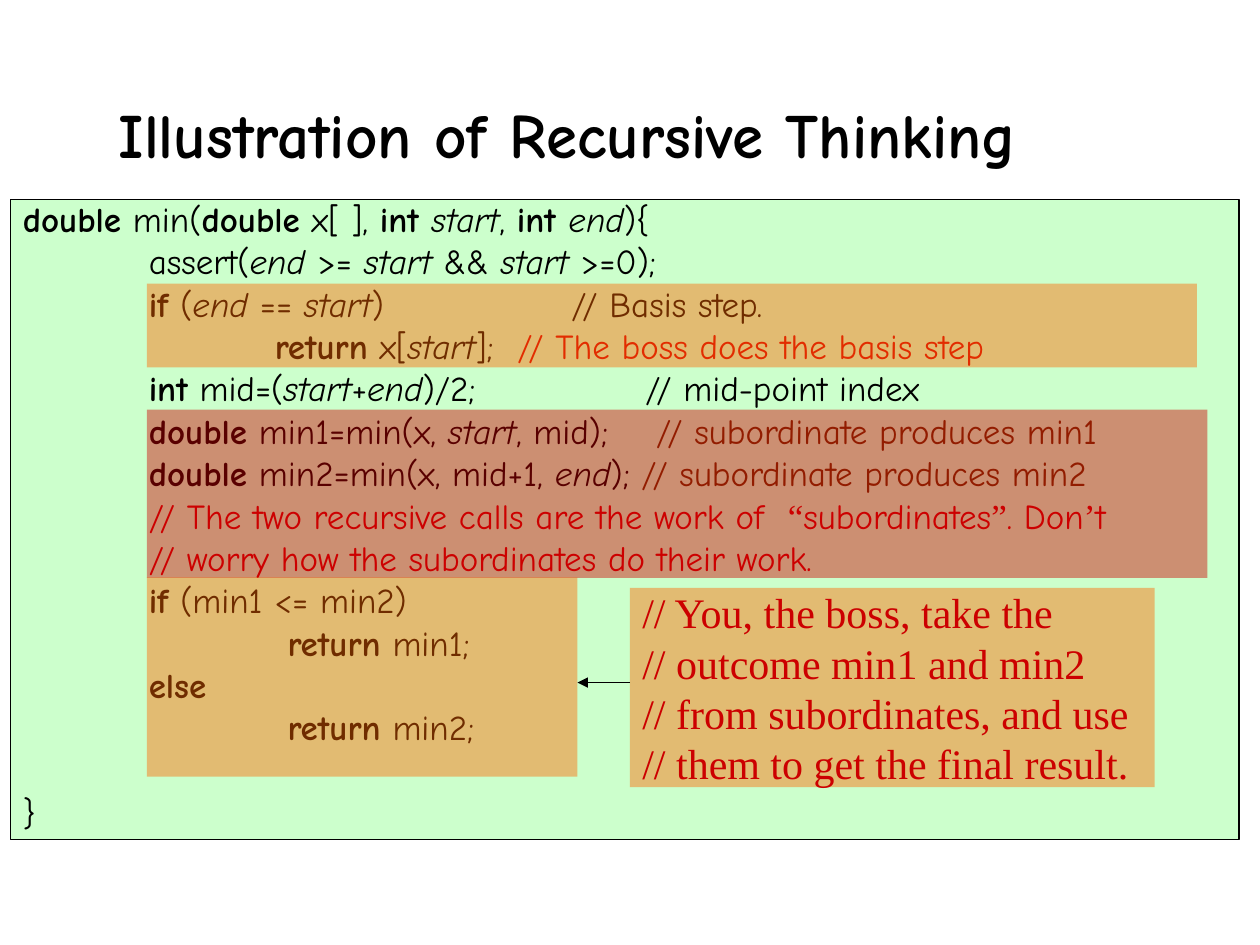
from dataclasses import dataclass

from lxml.etree import SubElement
from pptx import Presentation
from pptx.dml.color import RGBColor
from pptx.enum.shapes import MSO_CONNECTOR, MSO_SHAPE
from pptx.enum.text import MSO_ANCHOR, MSO_AUTO_SIZE, PP_ALIGN
from pptx.oxml.ns import qn
from pptx.shapes.autoshape import Shape
from pptx.slide import Slide
from pptx.text.text import _Paragraph
from pptx.util import Cm, Pt


@dataclass(frozen=True)
class Theme:
    black: str = "000000"
    red: str = "CC0000"
    brown: str = "663300"
    green: str = "CCFFCC"
    orange: str = "FF6600"
    overlay_opacity: int = 44
    code_font: str = "Comic Neue"
    note_font: str = "Times New Roman"
    title_size: int = 36
    code_size: int = 20
    note_size: int = 24


THEME = Theme()


@dataclass(frozen=True)
class Run:
    text: str
    bold: bool = False
    italic: bool = False
    color: str = THEME.black
    font: str = THEME.code_font


@dataclass(frozen=True)
class CodeLine:
    runs: tuple[Run, ...]
    tabs: tuple[float, ...] = (2.54,)
    space_before: float = 5


@dataclass(frozen=True)
class Box:
    left: float
    top: float
    width: float
    height: float
    color: str


def keyword(text: str) -> Run:
    """Return a bold run for a language keyword."""
    return Run(text, bold=True)


def variable(text: str) -> Run:
    """Return an italic run for a parameter name."""
    return Run(text, italic=True)


def red(text: str, font: str = THEME.code_font) -> Run:
    """Return a red run for a remark."""
    return Run(text, color=THEME.red, font=font)


START, END = variable("start"), variable("end")
RETURN, DOUBLE = keyword("return"), keyword("double")

CODE = (
    CodeLine((DOUBLE, Run(" min("), DOUBLE, Run(" x[ ], "), keyword("int "), START,
              Run(", "), keyword("int "), END, Run("){")), space_before=0),
    CodeLine((Run("\tassert("), END, Run(" >= "), START, Run(" && "), START, Run(" >=0);"))),
    CodeLine((keyword("\tif"), Run(" ("), END, Run(" == "), START,
              Run(")\t// Basis step.")), (2.54, 11.06)),
    CodeLine((Run("\t"), RETURN, Run(" x["), START, Run("];\t"),
              red("// The boss does the basis step")), (5.08, 9.97)),
    CodeLine((keyword("\tint"), Run(" mid=("), START, Run("+"), END,
              Run(")/2;\t// mid-point index")), (2.54, 12.55)),
    CodeLine((Run("\t"), DOUBLE, Run(" min1=min(x, "), START, Run(", mid);\t"),
              Run("// subordinate produces min1", color=THEME.brown)), (2.54, 12.77)),
    CodeLine((Run("\t"), DOUBLE, Run(" min2=min(x, mid+1, "), END, Run("); "),
              Run("// subordinate produces min2", color=THEME.brown))),
    CodeLine((red("\t// The two recursive calls are the work of  "),
              red("“", THEME.note_font), red("subordinates"), red("”", THEME.note_font),
              red(". Don"), red("’", THEME.note_font), red("t"))),
    CodeLine((red("\t// worry how the subordinates do their work."),)),
    CodeLine((keyword("\tif"), Run(" (min1 <= min2)"))),
    CodeLine((Run("\t"), RETURN, Run(" min1;")), (5.34,)),
    CodeLine((keyword("\telse"),)),
    CodeLine((Run("\t"), RETURN, Run(" min2;")), (5.34,)),
    CodeLine((Run("}"),), space_before=29.2),
)

NOTE = (
    "// You, the boss, take the",
    "// outcome min1 and min2",
    "// from subordinates, and use",
    "// them to get the final result.",
)

CODE_PANEL = Box(0.21, 4.02, 24.77, 12.91, THEME.green)
HIGHLIGHTS = (
    Box(2.96, 5.72, 21.17, 1.69, THEME.orange),
    Box(2.96, 8.26, 21.38, 3.39, THEME.red),
    Box(2.96, 11.64, 8.68, 4.02, THEME.orange),
)
NOTE_BOX = Box(12.7, 11.85, 10.58, 4.02, THEME.orange)


def add_run(paragraph: _Paragraph, content: Run, size: int) -> None:
    """Append one formatted run."""
    run = paragraph.add_run()
    run.text = content.text
    run.font.name = content.font
    run.font.size = Pt(size)
    run.font.bold = content.bold
    run.font.italic = content.italic
    run.font.color.rgb = RGBColor.from_string(content.color)


def add_box(slide: Slide, box: Box) -> Shape:
    """Draw a plain filled rectangle without outline."""
    shape = slide.shapes.add_shape(
        MSO_SHAPE.RECTANGLE, Cm(box.left), Cm(box.top), Cm(box.width), Cm(box.height))
    shape.shadow.inherit = False
    shape.fill.solid()
    shape.fill.fore_color.rgb = RGBColor.from_string(box.color)
    shape.line.fill.background()
    return shape


def add_overlay(slide: Slide, box: Box) -> Shape:
    """Draw a see-through rectangle."""
    shape = add_box(slide, box)
    color = next(shape.fill._xPr.iter(qn("a:srgbClr")))
    SubElement(color, qn("a:alpha"), val=str(THEME.overlay_opacity * 1000))
    return shape


def add_title(slide: Slide, text: str) -> None:
    """Place and fill the title placeholder."""
    title = slide.shapes.title
    title.left, title.top, title.width, title.height = Cm(1.9), Cm(1.22), Cm(19.08), Cm(2.36)
    frame = title.text_frame
    frame.auto_size = MSO_AUTO_SIZE.NONE
    frame.vertical_anchor = MSO_ANCHOR.BOTTOM
    frame.paragraphs[0].alignment = PP_ALIGN.CENTER
    add_run(frame.paragraphs[0], keyword(text), THEME.title_size)


def add_code(slide: Slide) -> None:
    """Draw the code panel with its lines."""
    panel = add_box(slide, CODE_PANEL)
    panel.line.color.rgb = RGBColor.from_string(THEME.black)
    panel.line.width = Pt(0.75)
    frame = panel.text_frame
    frame.word_wrap = True
    frame.vertical_anchor = MSO_ANCHOR.TOP
    for index, line in enumerate(CODE):
        paragraph = frame.add_paragraph() if index else frame.paragraphs[0]
        paragraph.alignment = PP_ALIGN.LEFT
        paragraph.line_spacing = 0.8
        paragraph.space_before = Pt(line.space_before)
        tab_list = SubElement(paragraph._p.get_or_add_pPr(), qn("a:tabLst"))
        for position in line.tabs:
            SubElement(tab_list, qn("a:tab"), pos=str(int(Cm(position))), algn="l")
        for content in line.runs:
            add_run(paragraph, content, THEME.code_size)


def add_note(slide: Slide) -> None:
    """Draw the remark box and its arrow to the last block."""
    frame = add_overlay(slide, NOTE_BOX).text_frame
    frame.word_wrap = False
    frame.vertical_anchor = MSO_ANCHOR.MIDDLE
    for index, text in enumerate(NOTE):
        paragraph = frame.add_paragraph() if index else frame.paragraphs[0]
        paragraph.alignment = PP_ALIGN.JUSTIFY
        add_run(paragraph, red(text, THEME.note_font), THEME.note_size)
    target = HIGHLIGHTS[-1]
    arrow = slide.shapes.add_connector(
        MSO_CONNECTOR.STRAIGHT, Cm(NOTE_BOX.left), Cm(13.76),
        Cm(target.left + target.width), Cm(13.76))
    arrow.line.color.rgb = RGBColor.from_string(THEME.black)
    arrow.line.width = Pt(0.75)
    SubElement(arrow.line._get_or_add_ln(), qn("a:tailEnd"), type="triangle")
    SubElement(arrow._element.spPr, qn("a:effectLst"))


def main() -> None:
    """Build and save the presentation."""
    presentation = Presentation()
    presentation.slide_width, presentation.slide_height = Cm(25.4), Cm(19.05)
    slide = presentation.slides.add_slide(presentation.slide_layouts[5])
    add_title(slide, "Illustration of Recursive Thinking")
    add_code(slide)
    for highlight in HIGHLIGHTS:
        add_overlay(slide, highlight)
    add_note(slide)
    presentation.save("out.pptx")


if __name__ == "__main__":
    main()
